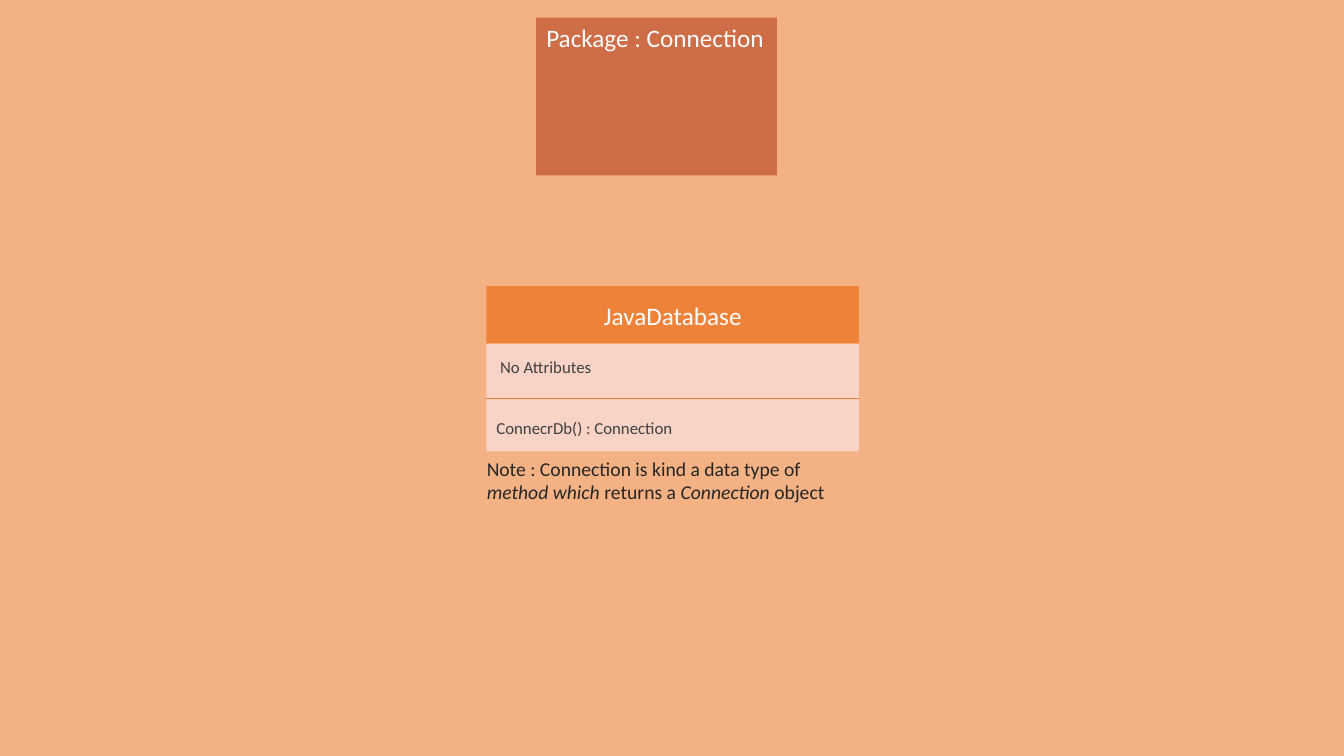
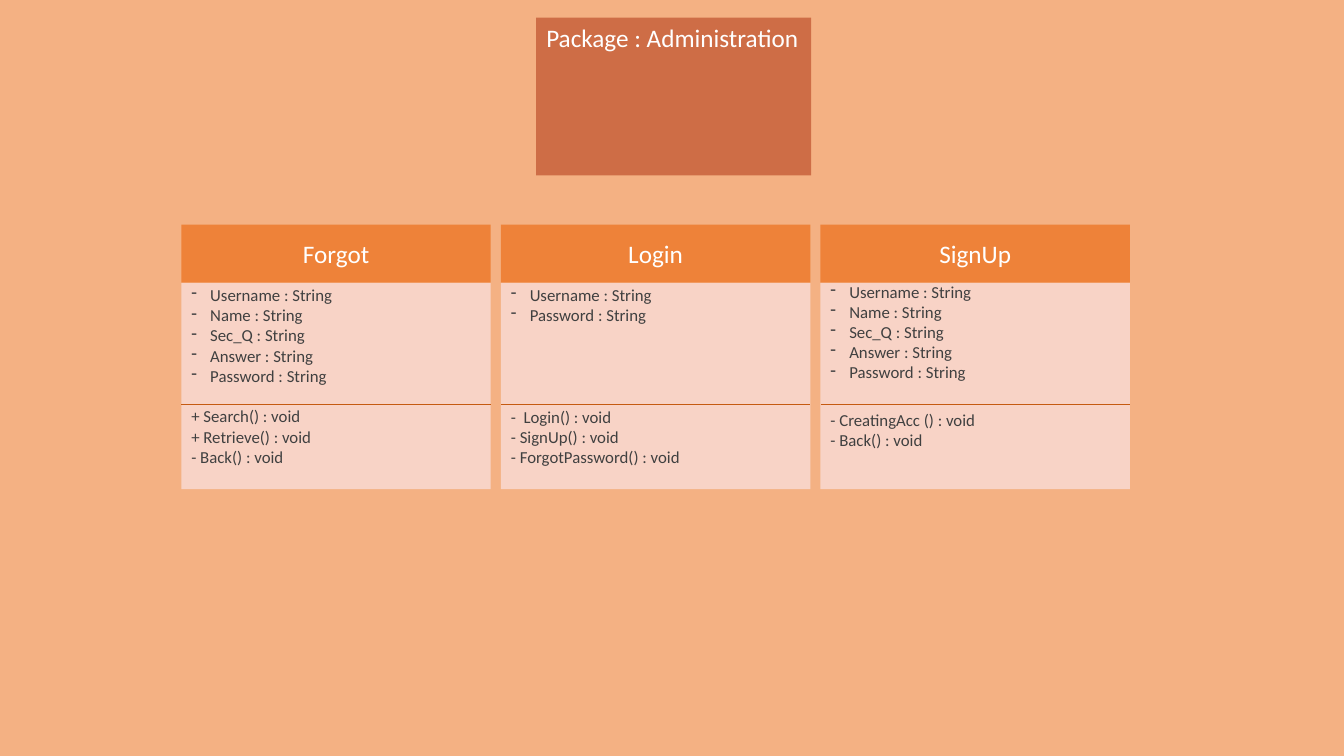
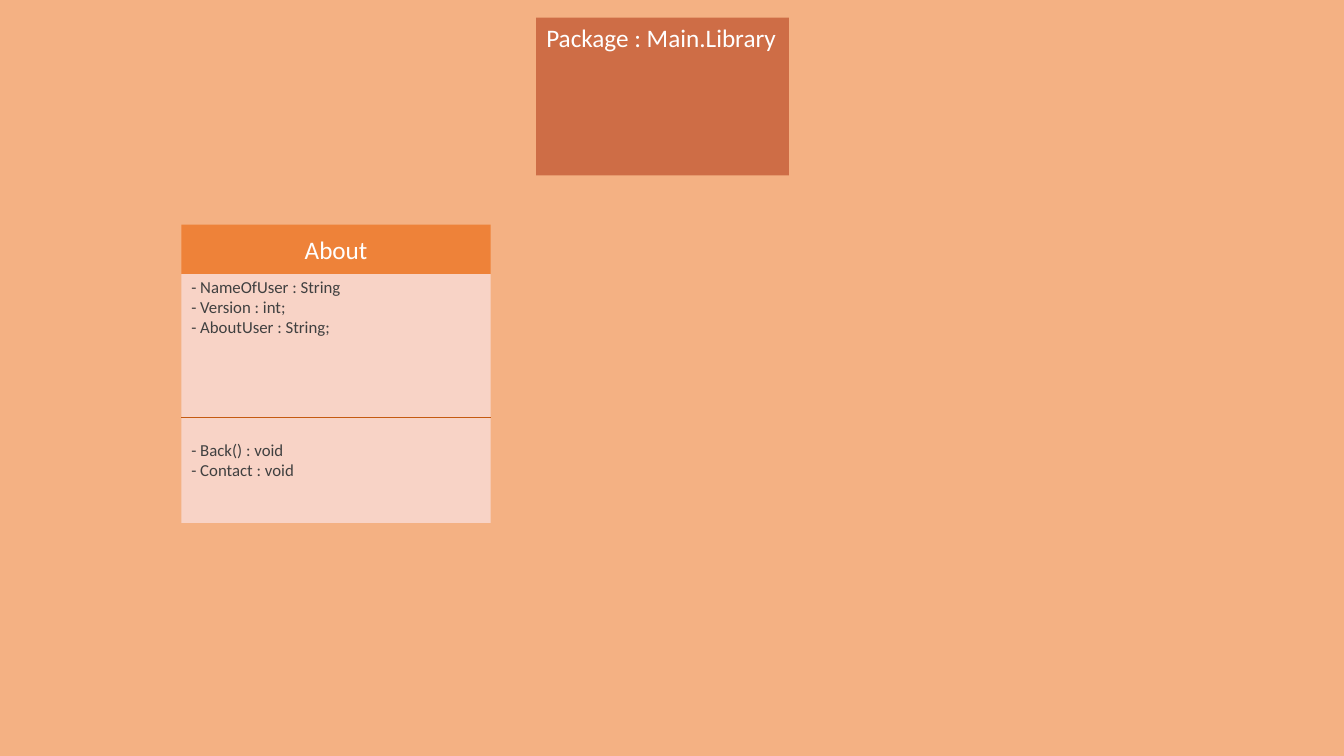
"""Build three class-diagram slides, one for each package."""
from lxml import etree
from pptx import Presentation
from pptx import util as u
from pptx.dml import color
from pptx.enum import shapes, text
from pptx.oxml import ns

COLORS = {
    "page": "F4B183", "title": "CE6D46", "head": "EE8239", "body": "F8D3C6",
    "white": "FFFFFF", "member": "404040", "note": "262626",
    "orange": "ED7D31", "rust": "C55A11",
}
STYLES = {
    "heading": {"size": u.Pt(18), "name": "Calibri", "bold": False},
    "member": {"size": u.Pt(12), "name": "Calibri"},
    "note": {"size": u.Pt(14), "name": "Calibri"},
}
LINE = 14.65
INDENT = 13.5
LEFT, TOP, WIDTH, PITCH = 129.6, 160.5, 221, 228.25


class Diagram:
    """Hold the deck, its style and the current page."""

    def __init__(self):
        self.deck = Presentation()
        self.deck.slide_width, self.deck.slide_height = u.Pt(960), u.Pt(540)
        self.paint(self.deck.slide_master.background.fill, "page")
        self.page = None

    def paint(self, fill, name):
        fill.solid()
        fill.fore_color.rgb = color.RGBColor.from_string(COLORS[name])

    def add_span(self, para, words, style, tone, **extra):
        span = para.add_run()
        span.text = words
        for key, value in {**STYLES[style], **extra}.items():
            setattr(span.font, key, value)
        span.font.color.rgb = color.RGBColor.from_string(COLORS[tone])

    def set_frame(self, frame, **values):
        for key, value in values.items():
            setattr(frame, key, value)

    def place(self, box, *lengths):
        for key, value in zip(("left", "top", "width", "height"), lengths):
            setattr(box, key, u.Pt(value))

    def new_page(self, title, width):
        self.page = self.deck.slides.add_slide(self.deck.slide_layouts[5])
        box = self.page.shapes.title
        self.place(box, 383, 12.5, width, 29)
        self.paint(box.fill, "title")
        self.set_frame(box.text_frame, word_wrap=False,
                       auto_size=text.MSO_AUTO_SIZE.SHAPE_TO_FIT_TEXT,
                       vertical_anchor=text.MSO_ANCHOR.TOP)
        para = box.text_frame.paragraphs[0]
        para.alignment, para.line_spacing = text.PP_ALIGN.LEFT, 1.0
        self.add_span(para, title, "heading", "white")

    def panel(self, left, top, width, height, fill):
        box = self.page.shapes.add_shape(
            shapes.MSO_SHAPE.RECTANGLE, *map(u.Pt, (left, top, width, height)))
        box.shadow.inherit = False
        box.line.fill.background()
        self.paint(box.fill, fill)
        self.set_frame(box.text_frame, word_wrap=True,
                       vertical_anchor=text.MSO_ANCHOR.MIDDLE)
        return box.text_frame

    def divider(self, left, y, width, tone):
        line = self.page.shapes.add_connector(
            shapes.MSO_CONNECTOR.STRAIGHT, *map(u.Pt, (left, y, left + width, y)))
        line.line.width = u.Pt(0.5)
        self.paint(line.line.fill, tone)
        etree.SubElement(line._element.spPr, ns.qn("a:effectLst"))

    def dash(self, para):
        props = para._p.get_or_add_pPr()
        props.set("marL", str(u.Pt(INDENT)))
        props.set("indent", str(-u.Pt(INDENT)))
        etree.SubElement(props, ns.qn("a:buChar")).set("char", "-")

    def class_box(self, name, fields, methods, gap, spare, left=LEFT, top=TOP,
                  width=WIDTH, head=41.5, body=147.5, split=86.7,
                  dashed=False, tone="rust"):
        """Draw a class; gap is above the methods, spare is kept free below."""
        para = self.panel(left, top, width, head, "head").paragraphs[0]
        para.alignment = text.PP_ALIGN.CENTER
        self.add_span(para, name, "heading", "white")
        frame = self.panel(left, top + head, width, body, "body")
        frame.margin_bottom = u.Pt(3.6 + spare)
        for index, words in enumerate(fields + methods):
            para = frame.add_paragraph() if index else frame.paragraphs[0]
            para.alignment = text.PP_ALIGN.LEFT
            if index == len(fields):
                para.space_before = u.Pt(gap)
            if dashed and index < len(fields):
                self.dash(para)
            self.add_span(para, words, "member", "member")
        self.divider(left, top + head + split, width, tone)

    def note(self, spans, *lengths):
        frame = self.page.shapes.add_textbox(*map(u.Pt, lengths)).text_frame
        self.set_frame(frame, word_wrap=True,
                       auto_size=text.MSO_AUTO_SIZE.SHAPE_TO_FIT_TEXT)
        for words, italic in spans:
            self.add_span(frame.paragraphs[0], words, "note", "note", italic=italic)


diagram = Diagram()

diagram.new_page("Package : Connection", 172)
diagram.note([("Note : Connection is kind a data type of ", False),
              ("method which", True), (" returns a ", False),
              ("Connection", True), (" object", False)], 340.6, 322.6, 273, 41)
diagram.class_box("JavaDatabase", [" No Attributes"], ["ConnecrDb() : Connection"],
                  2 * LINE, 0, left=347.5, top=204.5, width=266, head=41,
                  body=77, split=38.9, tone="orange")

diagram.new_page("Package : Administration", 196.5)
account = ["Username : String", "Name : String", "Sec_Q : String",
           "Answer : String", "Password : String"]
classes = [
    ("Forgot", account,
     ["+ Search() : void", "+ Retrieve() : void", "- Back() : void"], LINE, LINE),
    ("Login", [account[0], account[-1]],
     ["-  Login() : void", "- SignUp() : void", "- ForgotPassword() : void"],
     4 * LINE, LINE),
    ("SignUp", account, ["- CreatingAcc () : void", "- Back() : void"],
     19.5, 2 * LINE),
]
for column, details in enumerate(classes):
    diagram.class_box(*details, left=LEFT + column * PITCH, dashed=True)

diagram.new_page("Package : Main.Library", 180.5)
diagram.class_box("About",
                  ["- NameOfUser : String", "- Version : int;", "- AboutUser : String;"],
                  ["- Back() : void", "- Contact : void"], 5 * LINE, 2 * LINE,
                  head=35.3, body=177.8, split=102.3)

diagram.deck.save("out.pptx")
